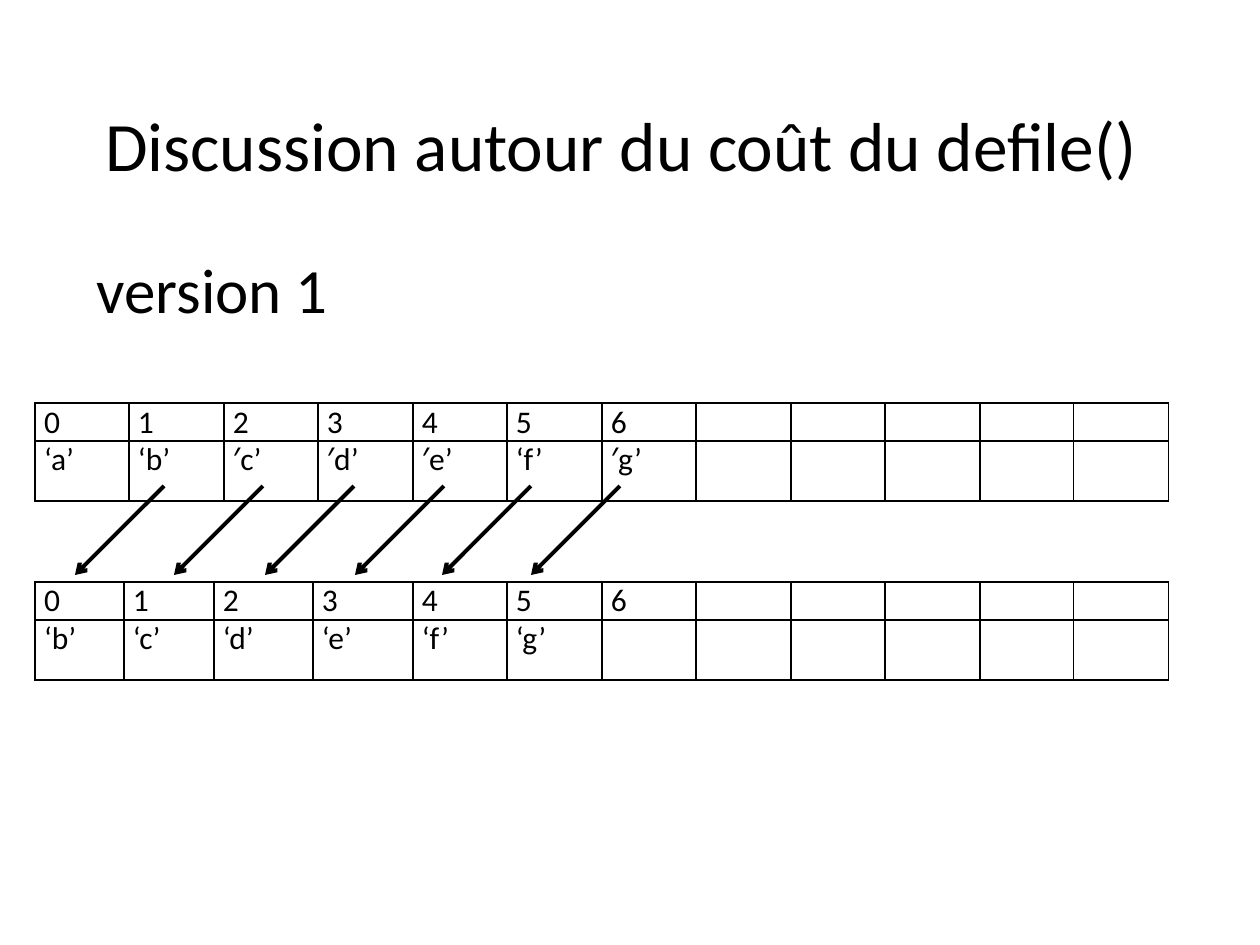
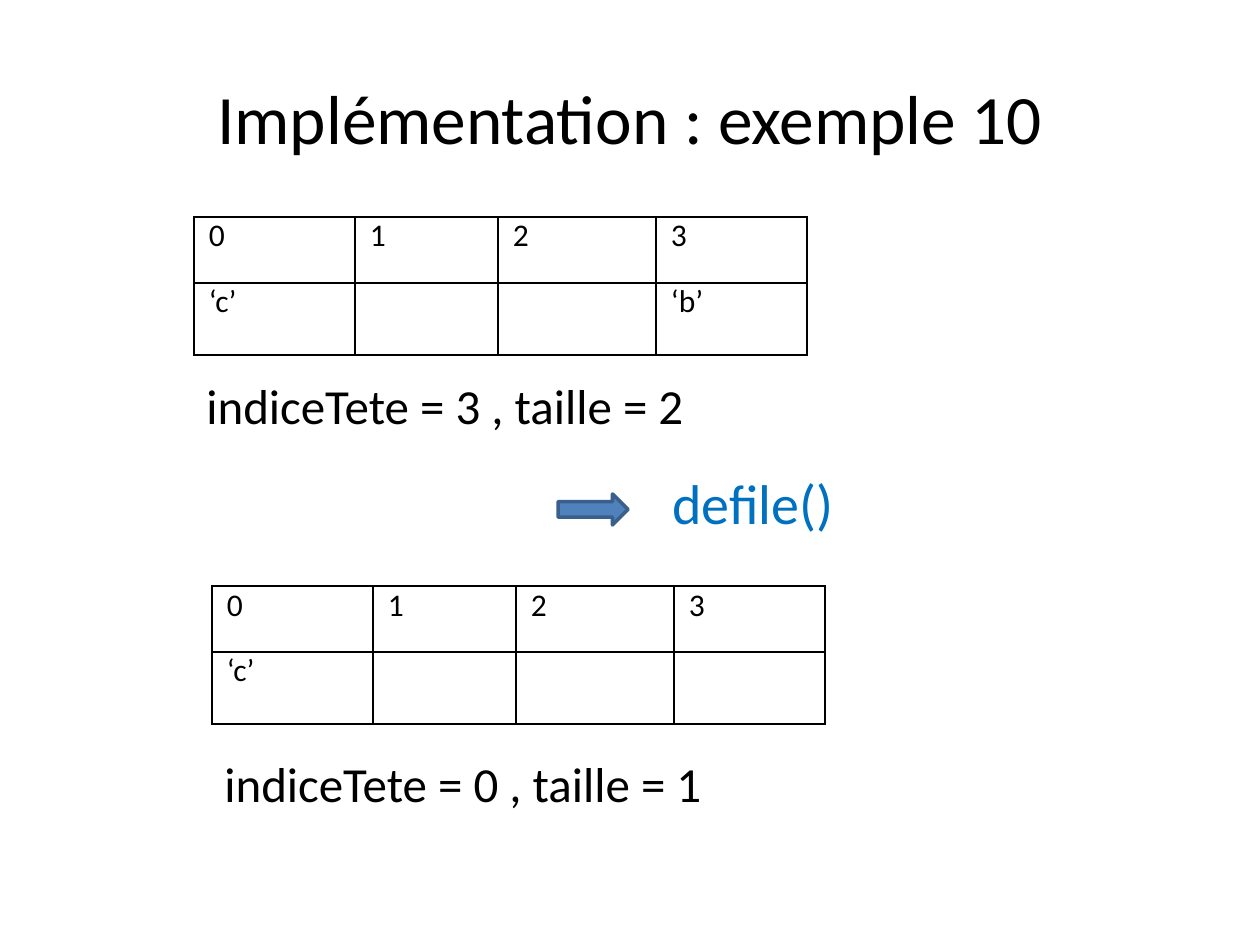
from dataclasses import dataclass

from lxml.etree import SubElement
from pptx import Presentation
from pptx.dml.color import RGBColor as Rgb
from pptx.enum.shapes import MSO_CONNECTOR as Connector, MSO_SHAPE as Preset
from pptx.enum.text import MSO_ANCHOR as Anchor, PP_ALIGN as Align
from pptx.oxml.ns import qn
from pptx.util import Pt

EMU_PER_INCH = 914400
PX_PER_INCH = 126


@dataclass(frozen=True)
class Theme:
    font: str = "Calibri"
    ink: str = "000000"
    index_grey: str = "808080"
    call_blue: str = "0070C0"
    arrow_fill: str = "4F81BD"
    arrow_edge: str = "3A5F8C"
    title: float = 39.6
    heading: int = 36
    call: int = 32
    caption: int = 28
    grid_line: float = 1
    shift_line: float = 2.25
    arrow_line: float = 2


@dataclass(frozen=True)
class ArrayStyle:
    """Look of a table with a row of indices above a row of values."""
    index_size: int
    value_size: int
    index_color: str
    inset: int
    heights: tuple


THEME = Theme()
QUEUE = ArrayStyle(15, 28, THEME.ink, 9, (32, 60))
RING = ArrayStyle(18, 32, THEME.index_grey, 15, (66, 72))


def px(length):
    return round(length * EMU_PER_INCH / PX_PER_INCH)


def set_font(paragraph, size, color):
    font = paragraph.font
    font.name = THEME.font
    font.size = Pt(size)
    font.color.rgb = Rgb.from_string(color)


def add_label(slide, text, box, size, color=THEME.ink):
    frame = slide.shapes.add_textbox(*map(px, box)).text_frame
    frame.word_wrap = True
    frame.text = text
    set_font(frame.paragraphs[0], size, color)
    return frame


def add_title(slide, text, box):
    frame = add_label(slide, text, box, THEME.title)
    frame.vertical_anchor = Anchor.MIDDLE
    frame.paragraphs[0].alignment = Align.CENTER


def outline_cell(cell):
    properties = cell._tc.get_or_add_tcPr()
    for side in ("a:lnL", "a:lnR", "a:lnT", "a:lnB"):
        edge = SubElement(properties, qn(side), w=str(Pt(THEME.grid_line)))
        fill = SubElement(edge, qn("a:solidFill"))
        SubElement(fill, qn("a:srgbClr"), val=THEME.ink)


def fill_cell(cell, text, size, color, inset):
    cell.margin_left = cell.margin_right = px(inset)
    cell.margin_top = cell.margin_bottom = 0
    outline_cell(cell)
    cell.fill.background()
    paragraph = cell.text_frame.paragraphs[0]
    if text:
        cell.text = text
    else:
        # Keep an empty cell from stretching its row
        SubElement(paragraph._p, qn("a:endParaRPr"), sz=str(size * 100))
    set_font(paragraph, size, color)


def add_array(slide, left, top, widths, values, index_count, style):
    """Draw an array; values maps an index to the element stored there."""
    array = slide.shapes.add_table(
        2, len(widths), px(left), px(top),
        px(sum(widths)), px(sum(style.heights))).table
    array.first_row = array.horz_banding = False
    for row, height in zip(array.rows, style.heights):
        row.height = px(height)
    for index, width in enumerate(widths):
        array.columns[index].width = px(width)
        number = str(index) if index < index_count else ""
        fill_cell(array.cell(0, index), number,
                  style.index_size, style.index_color, style.inset)
        fill_cell(array.cell(1, index), values.get(index, ""),
                  style.value_size, THEME.ink, style.inset)


def add_shift_arrow(slide, start_x, start_y, shift):
    """Draw an arrow going down and to the left at 45 degrees."""
    shift_arrow = slide.shapes.add_connector(
        Connector.STRAIGHT, px(start_x), px(start_y),
        px(start_x - shift), px(start_y + shift))
    shift_arrow.line.color.rgb = Rgb.from_string(THEME.ink)
    shift_arrow.line.width = Pt(THEME.shift_line)
    SubElement(shift_arrow.line._get_or_add_ln(), qn("a:tailEnd"), type="arrow")
    SubElement(shift_arrow._element.spPr, qn("a:effectLst"))


def add_step_arrow(slide, box):
    step = slide.shapes.add_shape(Preset.RIGHT_ARROW, *map(px, box))
    step.shadow.inherit = False
    step.fill.solid()
    step.fill.fore_color.rgb = Rgb.from_string(THEME.arrow_fill)
    step.line.color.rgb = Rgb.from_string(THEME.arrow_edge)
    step.line.width = Pt(THEME.arrow_line)


def build_cost_slide(slide):
    add_title(slide, "Discussion autour du coût du defile()", (54, 55, 1134, 178))
    add_label(slide, "version 1", (84, 244, 260, 90), THEME.heading)

    # Queue before and after removing its head
    before = ("‘a’", "‘b’", "′c’", "′d’", "′e’", "‘f’", "′g’")
    after = ("‘b’", "‘c’", "‘d’", "‘e’", "‘f’", "‘g’")
    even_pair = [94, 95]
    add_array(slide, 35, 403, even_pair * 6, dict(enumerate(before)), 7, QUEUE)
    add_array(slide, 35, 582, [89, 90, 99, 100] + even_pair * 4,
              dict(enumerate(after)), 7, QUEUE)

    # Every remaining element moves one place left
    for start_x in (164, 263, 354, 444, 531, 620):
        add_shift_arrow(slide, start_x, 486, 89)


def build_ring_slide(slide):
    add_title(slide, "Implémentation : exemple 10", (63, 38, 1134, 158))

    # State before and after the call
    states = (
        (194, 217, 369, {0: "‘c’", 3: "‘b’"}, "indiceTete = 3 , taille = 2"),
        (212, 586, 747, {0: "‘c’"}, "indiceTete = 0 , taille = 1"),
    )
    for left, array_top, caption_top, values, caption in states:
        add_array(slide, left, array_top, [161, 143, 158, 151], values, 4, RING)
        add_label(slide, caption, (left, caption_top, 519, 72), THEME.caption)

    # Call that links the two states
    add_step_arrow(slide, (558, 494, 70, 31))
    add_label(slide, "defile()", (660, 462, 248, 81), THEME.call, THEME.call_blue)


def main():
    deck = Presentation()
    deck.slide_width, deck.slide_height = px(1260), px(945)
    blank = deck.slide_layouts[6]
    for build in (build_cost_slide, build_ring_slide):
        build(deck.slides.add_slide(blank))
    deck.save("out.pptx")


if __name__ == "__main__":
    main()
